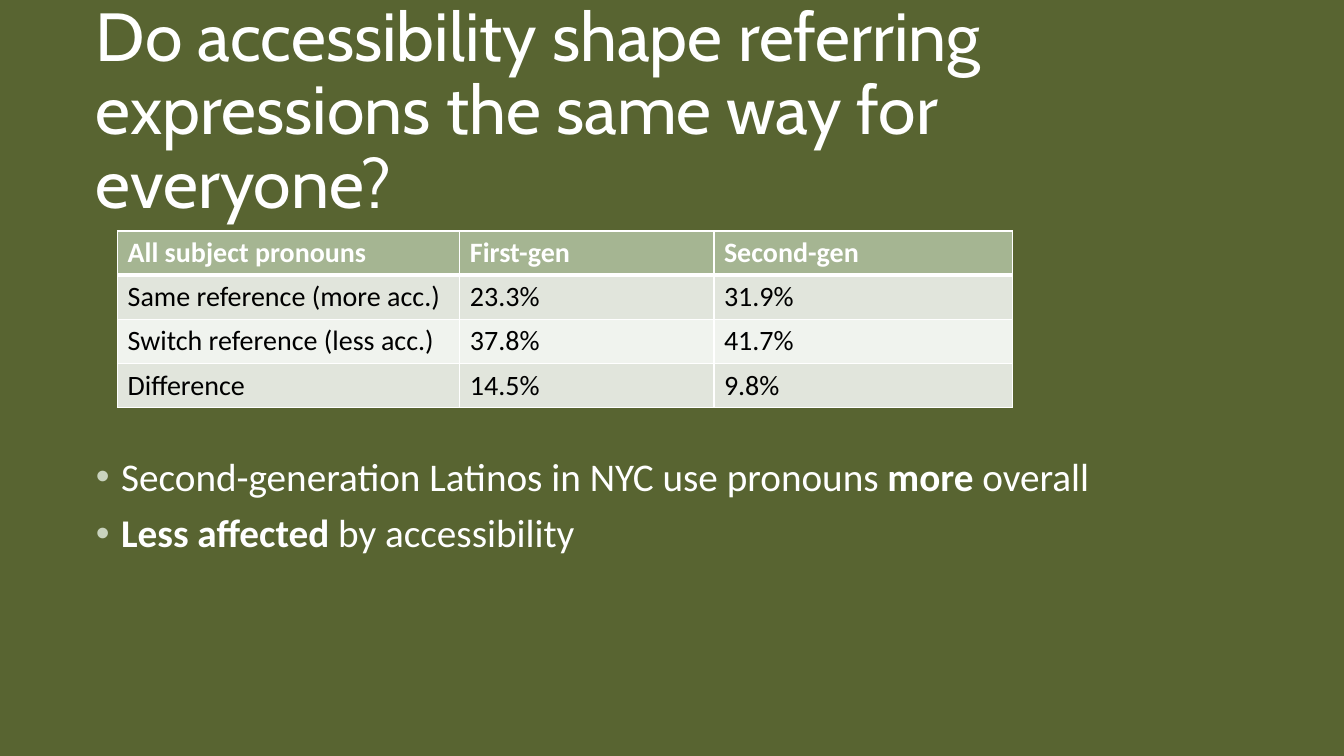
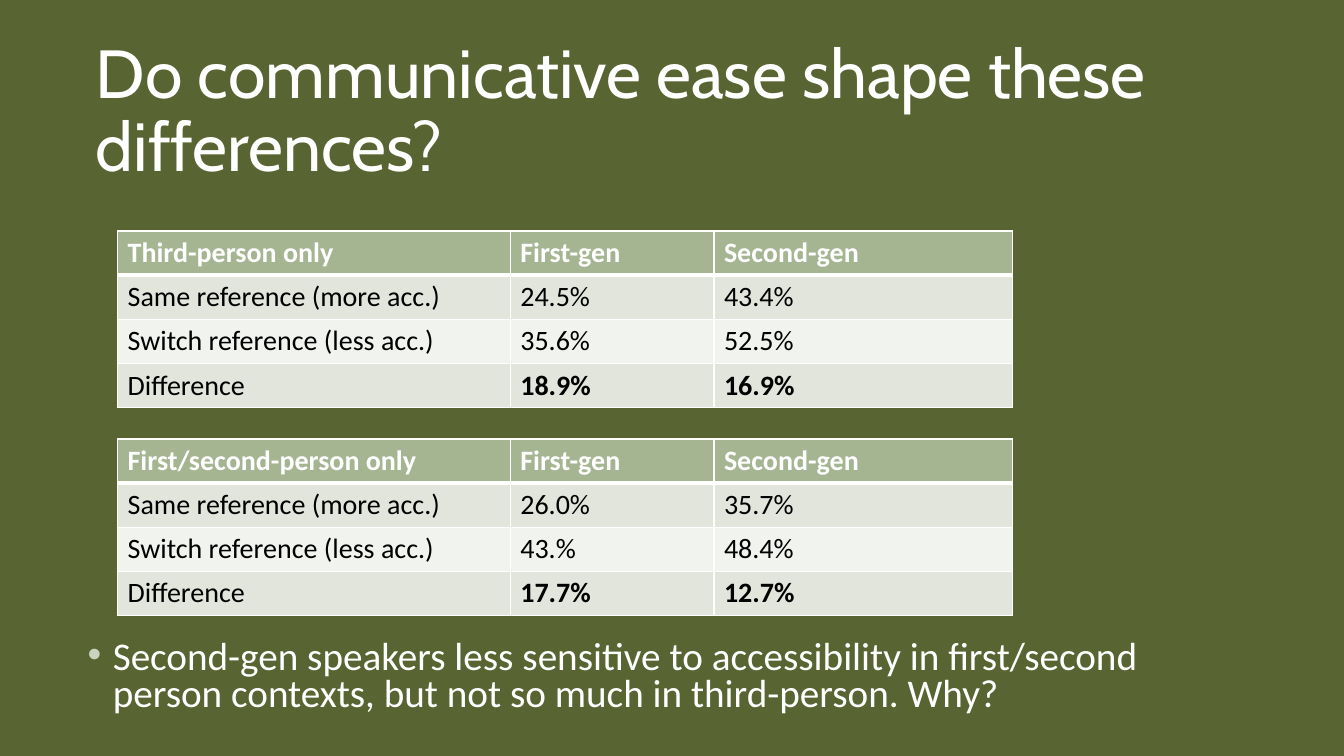
"""Build two slides on how accessibility shapes pronoun use across generations."""
from lxml import etree
from pptx import Presentation
from pptx.dml.color import RGBColor
from pptx.enum.shapes import MSO_SHAPE
from pptx.enum.text import MSO_ANCHOR
from pptx.oxml import parse_xml
from pptx.oxml.ns import nsdecls, qn
from pptx.util import Pt

PX = 9525
W, H = 1280, 720
BACK, VEIL, WHITE, BLACK = "444D26", "5B6733", "FFFFFF", "000000"
HEADER, BANDS, BULLET = "A5B592", ("E1E5DC", "F0F3EE"), "C9D3BE"
TITLE_FONT, BODY_FONT = "Cabin", "Calibri"
TABLE_X, ROW_H = 112, 42
LABELS = ["Same reference (more acc.)", "Switch reference (less acc.)", "Difference"]

SLIDES = [
    {
        "title": "Do accessibility shape referring expressions the same way for everyone?",
        "cols": (326, 242, 284),
        "bold_last": False,
        "tables": [
            (220, "All subject pronouns",
             [("23.3%", "31.9%"), ("37.8%", "41.7%"), ("14.5%", "9.8%")]),
        ],
        "body_box": (82, 431, 1116, 117),
        "spacing": 0.9,
        "bullets": [
            [("Second-generation Latinos in NYC use pronouns ", False),
             ("more", True), (" overall", False)],
            [("Less affected ", True), ("by accessibility", False)],
        ],
    },
    {
        "title": "Do communicative ease shape these differences?",
        "cols": (374, 194, 284),
        "bold_last": True,
        "tables": [
            (220, "Third-person only",
             [("24.5%", "43.4%"), ("35.6%", "52.5%"), ("18.9%", "16.9%")]),
            (418, "First/second-person only",
             [("26.0%", "35.7%"), ("43.%", "48.4%"), ("17.7%", "12.7%")]),
        ],
        "body_box": (74, 605, 1116, 85),
        "spacing": 0.8,
        "bullets": [
            [("Second-gen speakers less sensitive to accessibility in first/second "
              "person contexts, but not so much in third-person. Why?", False)],
        ],
    },
]


def rgb(color):
    """Turn a hex string into a colour."""
    return RGBColor.from_string(color)


def add_run(p, text, size, font, color, bold=False):
    """Append one formatted run to a paragraph."""
    r = p.add_run()
    r.text = text
    r.font.size, r.font.name, r.font.bold = Pt(size), font, bold
    r.font.color.rgb = rgb(color)


prs = Presentation()
prs.slide_width, prs.slide_height = W * PX, H * PX
fill = prs.slide_master.background.fill
fill.solid()
fill.fore_color.rgb = rgb(BACK)

for data in SLIDES:
    s = prs.slides.add_slide(prs.slide_layouts[6])

    veil = s.shapes.add_shape(MSO_SHAPE.RECTANGLE, 0, 0, W * PX, H * PX)
    veil.shadow.inherit = False
    veil.line.fill.background()
    veil.fill.solid()
    veil.fill.fore_color.rgb = rgb(VEIL)
    clr = veil.fill._xPr.find(qn("a:solidFill"))[0]
    etree.SubElement(clr, qn("a:alpha"), val="90000")

    title = s.shapes.add_textbox(*(v * PX for v in (82, 38, 1116, 139)))
    tf = title.text_frame
    tf.word_wrap = True
    tf.vertical_anchor = MSO_ANCHOR.MIDDLE
    tf.margin_right = 30 * PX
    p = tf.paragraphs[0]
    p.line_spacing = 0.9
    add_run(p, data["title"], 48.6, TITLE_FONT, WHITE)

    for top, heading, values in data["tables"]:
        rows = [(heading, "First-gen", "Second-gen")]
        rows += [(label, *pair) for label, pair in zip(LABELS, values)]
        table = s.shapes.add_table(len(rows), 3, TABLE_X * PX, top * PX,
                                   sum(data["cols"]) * PX, len(rows) * ROW_H * PX).table
        for col, width in zip(table.columns, data["cols"]):
            col.width = width * PX
        for i, row in enumerate(rows):
            table.rows[i].height = ROW_H * PX
            is_header = i == 0
            for j, text in enumerate(row):
                cell = table.cell(i, j)
                tc_pr = cell._tc.get_or_add_tcPr()
                for side in "LRTB":
                    thick = (i, side) in ((0, "B"), (1, "T"))
                    tc_pr.append(parse_xml(
                        f'<a:ln{side} {nsdecls("a")} w="{Pt(3 if thick else 1)}">'
                        f'<a:solidFill><a:srgbClr val="{WHITE}"/></a:solidFill></a:ln{side}>'))
                cell.fill.solid()
                cell.fill.fore_color.rgb = rgb(HEADER if is_header else BANDS[(i - 1) % 2])
                is_total = data["bold_last"] and i == len(rows) - 1 and j > 0
                add_run(cell.text_frame.paragraphs[0], text, 20, BODY_FONT,
                        WHITE if is_header else BLACK, is_header or is_total)

    body = s.shapes.add_textbox(*(v * PX for v in data["body_box"]))
    tf = body.text_frame
    tf.word_wrap = True
    for i, runs in enumerate(data["bullets"]):
        p = tf.add_paragraph() if i else tf.paragraphs[0]
        p_pr = p._p.get_or_add_pPr()
        p_pr.set("marL", str(24 * PX))
        p_pr.set("indent", str(-24 * PX))
        bu_clr = etree.SubElement(p_pr, qn("a:buClr"))
        etree.SubElement(bu_clr, qn("a:srgbClr"), val=BULLET)
        etree.SubElement(p_pr, qn("a:buFont"), typeface="Arial")
        etree.SubElement(p_pr, qn("a:buChar"), char="•")
        p.line_spacing = data["spacing"]
        p.space_before = Pt(10 if i else 0)
        for text, bold in runs:
            add_run(p, text, 28, BODY_FONT, WHITE, bold)

prs.save("out.pptx")
